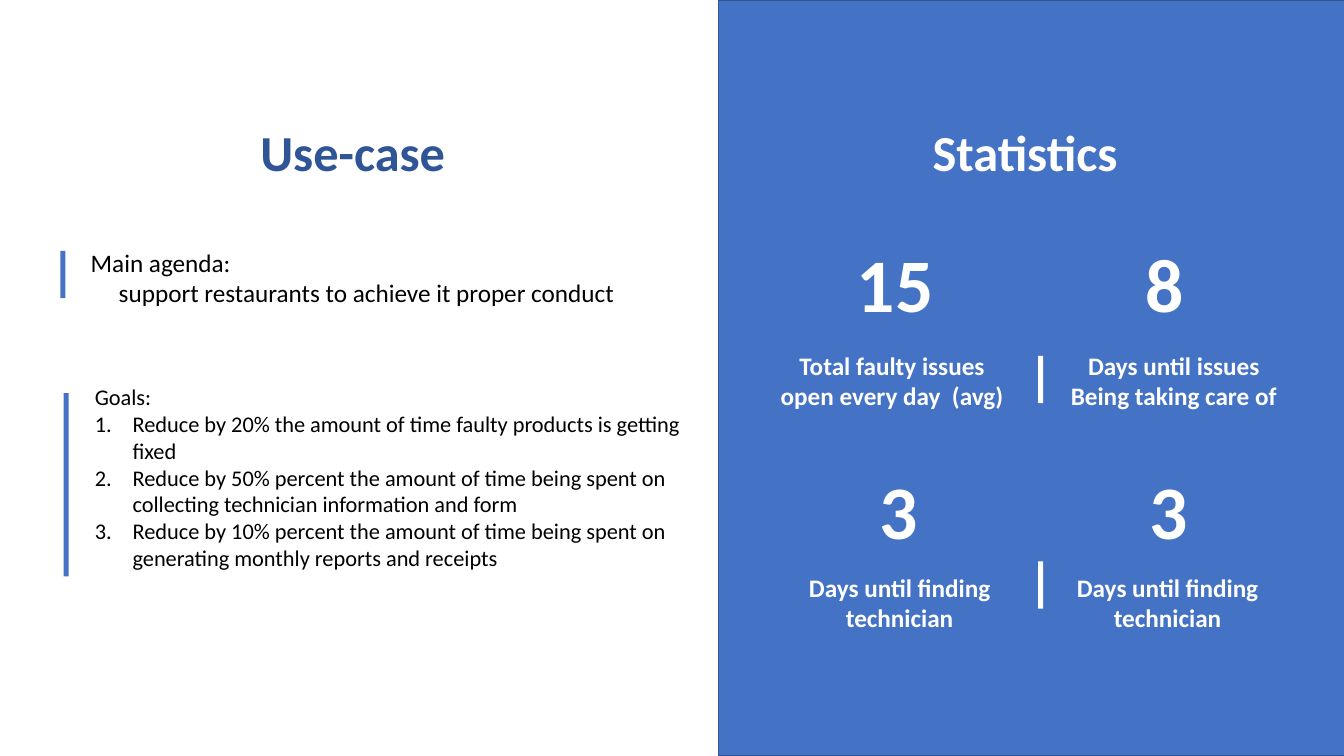
import pptx
import pptx.util
import pptx.dml.color
import pptx.enum.shapes
import pptx.enum.text
import lxml.etree

Pt = pptx.util.Pt
ALIGN = pptx.enum.text.PP_ALIGN

THEME = {
    "font": "Calibri",
    "blue": "4472C4", "dark blue": "2F5597", "outline": "325491",
    "white": "FFFFFF", "black": "000000",
    "heading": 36, "figure": 54, "text": 18, "goal": 16,
}

USE_CASE = "Use-case"
STATISTICS = "Statistics"
# (text, left margin, numbered)
AGENDA = [
    ("Main agenda:", 0, False),
    ("support restaurants to achieve it proper conduct", 20, False),
]
GOALS = [
    ("Goals:", 0, False),
    ("Reduce by 20% the amount of time faulty products is getting fixed", 27, True),
    ("Reduce by 50% percent the amount of time being spent on "
     "collecting technician information and form", 27, True),
    ("Reduce by 10% percent the amount of time being spent on "
     "generating monthly reports and receipts", 27, True),
]
# Each row: figure top, label top, divider top, then the statistics as
# (figure, figure centre, label lines, label centre)
STATISTIC_ROWS = [
    (165.6, 246.6, 254.2, [
        ("15", 639.4, ["Total faulty issues open every day  (avg)"], 637.2),
        ("8", 831.6, ["Days until issues", "Being taking care of"], 838.4),
    ]),
    (327.6, 405.4, 401, [
        ("3", 642.2, ["Days until finding technician"], 642.6),
        ("3", 834.5, ["Days until finding technician"], 834),
    ]),
]

BOX_WIDTH = 178.6
LABEL_HEIGHT, FIGURE_HEIGHT = 51, 72.7
HEADING_TOP = 83
BAR_WIDTH, SHORT_BAR = 3.6, 33.8
DIVIDER_LEFT = 741.6


def colour(name):
    return pptx.dml.color.RGBColor.from_string(THEME[name])


def place(shape, left, top, width, height):
    box = {"left": left, "top": top, "width": width, "height": height}
    for side, length in box.items():
        setattr(shape, side, Pt(length))


def write(shape, lines, size, ink, bold=False, align=ALIGN.LEFT):
    """Fill a text shape with (text, left margin, numbered) lines."""
    frame = shape.text_frame
    frame_format = {
        "word_wrap": True,
        "auto_size": pptx.enum.text.MSO_AUTO_SIZE.NONE,
        "vertical_anchor": pptx.enum.text.MSO_ANCHOR.TOP,
    }
    for key, value in frame_format.items():
        setattr(frame, key, value)
    font_format = {"name": THEME["font"], "size": Pt(THEME[size]), "bold": bold}
    for index, (text, margin, numbered) in enumerate(lines):
        paragraph = frame.add_paragraph() if index else frame.paragraphs[0]
        properties = paragraph._p.get_or_add_pPr()
        properties.set("marL", str(Pt(margin)))
        properties.set("indent", str(Pt(-margin if numbered else 0)))
        bullet = lxml.etree.SubElement(
            properties, pptx.oxml.ns.qn("a:buAutoNum" if numbered else "a:buNone"))
        if numbered:
            bullet.set("type", "arabicPeriod")
        paragraph.alignment = align
        paragraph.space_before = Pt(0)
        run = paragraph.add_run()
        run.text = text
        for key, value in font_format.items():
            setattr(run.font, key, value)
        run.font.color.rgb = colour(ink)


def add_centred(slide, lines, size, centre, top, height):
    box = slide.shapes.add_textbox(
        Pt(centre - BOX_WIDTH / 2), Pt(top), Pt(BOX_WIDTH), Pt(height))
    write(box, [(line, 0, False) for line in lines], size, "white", True, ALIGN.CENTER)


def add_block(slide, left, top, width, height, fill, outline=None):
    block = slide.shapes.add_shape(
        pptx.enum.shapes.MSO_SHAPE.RECTANGLE, Pt(left), Pt(top), Pt(width), Pt(height))
    block.shadow.inherit = False
    block.fill.solid()
    block.fill.fore_color.rgb = colour(fill)
    if outline:
        block.line.color.rgb = colour(outline)
        block.line.width = Pt(1)
    else:
        block.line.fill.background()


def main():
    deck = pptx.Presentation()
    deck.slide_width, deck.slide_height = Pt(960), Pt(540)
    slide = deck.slides.add_slide(deck.slide_layouts[3])
    heading, agenda, goals = slide.placeholders

    place(heading, 162.7, HEADING_TOP, BOX_WIDTH, LABEL_HEIGHT)
    write(heading, [(USE_CASE, 0, False)], "heading", "dark blue", True, ALIGN.CENTER)
    place(agenda, 57.6, 172.8, 460.8, LABEL_HEIGHT)
    write(agenda, AGENDA, "text", "black")
    place(goals, 60.5, 270, 460.8, 181.4)
    write(goals, GOALS, "goal", "black")
    add_block(slide, 43.2, 179.3, BAR_WIDTH, SHORT_BAR, "blue")
    add_block(slide, 45.4, 280.8, BAR_WIDTH, 131, "blue")

    add_block(slide, 513.4, 0, 447, 540, "blue", "outline")
    add_centred(slide, [STATISTICS], "heading", 732.2, HEADING_TOP, LABEL_HEIGHT)
    for figure_top, label_top, divider_top, statistics in STATISTIC_ROWS:
        add_block(slide, DIVIDER_LEFT, divider_top, BAR_WIDTH, SHORT_BAR, "white")
        for figure, figure_centre, label, label_centre in statistics:
            add_centred(slide, [figure], "figure", figure_centre, figure_top, FIGURE_HEIGHT)
            add_centred(slide, label, "text", label_centre, label_top, LABEL_HEIGHT)

    deck.save("out.pptx")


if __name__ == "__main__":
    main()
